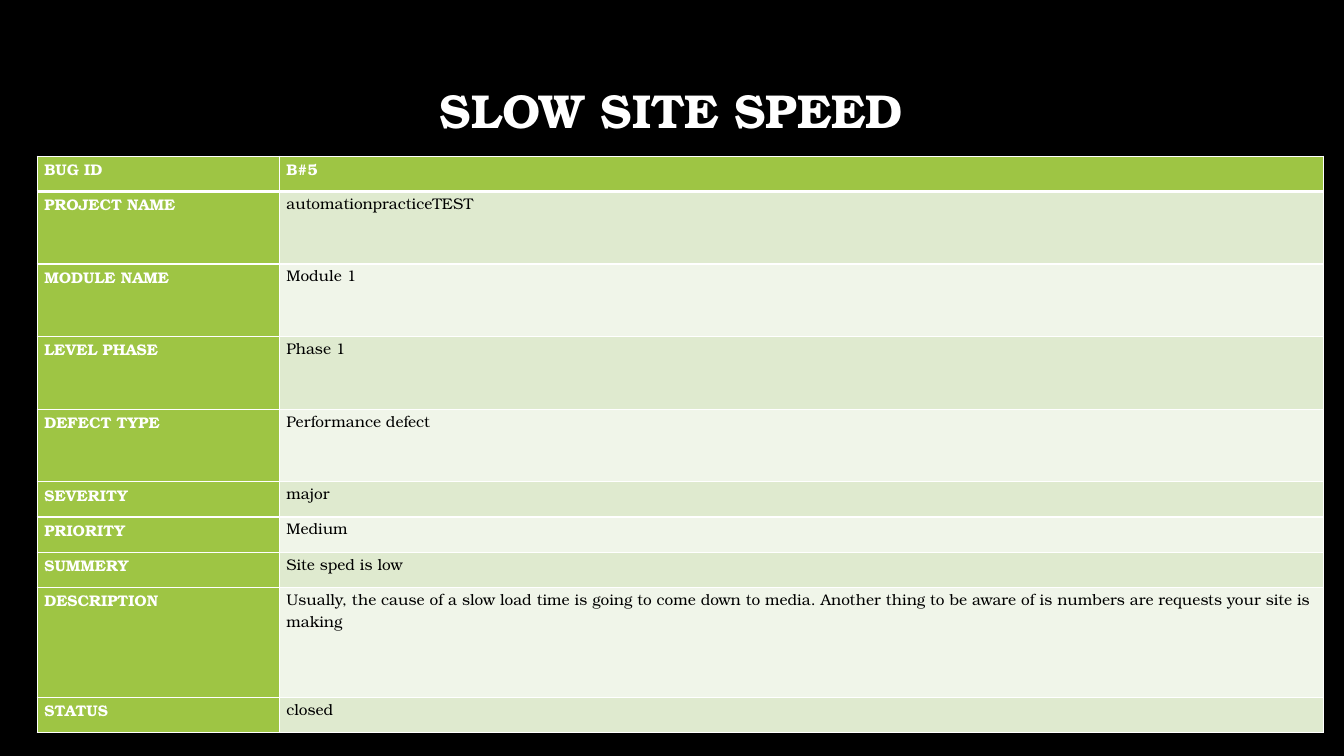
"""Build the bug report slide for slow site speed."""
from pptx import Presentation
from pptx.dml.color import RGBColor
from pptx.enum import text
from pptx.oxml import parse_xml
from pptx.oxml.ns import nsdecls
from pptx.util import Inches, Pt

BLACK = RGBColor(0x00, 0x00, 0x00)
WHITE = RGBColor(0xFF, 0xFF, 0xFF)
GREEN = RGBColor(0x9E, 0xC5, 0x44)
BANDS = [RGBColor(0xF0, 0xF5, 0xE9), RGBColor(0xDF, 0xEA, 0xCF)]
FONT = "TeX Gyre Bonum"

BUG_REPORT = [
    ("BUG ID", "B#5", 0.35),
    ("PROJECT NAME", "automationpracticeTEST", 0.72),
    ("MODULE NAME", "Module 1", 0.72),
    ("LEVEL PHASE", "Phase 1", 0.72),
    ("DEFECT TYPE", "Performance defect", 0.72),
    ("SEVERITY", "major", 0.35),
    ("PRIORITY", "Medium", 0.35),
    ("SUMMERY", "Site sped is low", 0.35),
    ("DESCRIPTION", "Usually, the cause of a slow load time is going to come down to media. "
     "Another thing to be aware of is numbers are requests your site is making", 1.09),
    ("STATUS", "closed", 0.35),
]


def write(frame, content, size, color, bold, spacing, align=text.PP_ALIGN.LEFT):
    paragraph = frame.paragraphs[0]
    paragraph.alignment = align
    paragraph.line_spacing = spacing
    run = paragraph.add_run()
    run.text = content
    run.font.name = FONT
    run.font.size = Pt(size)
    run.font.bold = bold
    run.font.color.rgb = color


def set_borders(cell, widths):
    properties = cell._tc.get_or_add_tcPr()
    for position, (side, width) in enumerate(widths.items()):
        properties.insert(position, parse_xml(
            f'<a:ln{side} {nsdecls("a")} w="{Pt(width)}"><a:solidFill>'
            f'<a:srgbClr val="{WHITE}"/></a:solidFill></a:ln{side}>'))


presentation = Presentation()
presentation.slide_width = Inches(13.33)
presentation.slide_height = Inches(7.5)
slide = presentation.slides.add_slide(presentation.slide_layouts[5])
slide.background.fill.solid()
slide.background.fill.fore_color.rgb = BLACK

title = slide.shapes.title
title.left, title.top = Inches(1), Inches(0.67)
title.width, title.height = Inches(11.32), Inches(1.45)
title.text_frame.vertical_anchor = text.MSO_ANCHOR.MIDDLE
title.text_frame.margin_bottom = Inches(0.6)
write(title.text_frame, "SLOW SITE SPEED", size=34, color=WHITE, bold=True,
      spacing=0.9, align=text.PP_ALIGN.CENTER)

table = slide.shapes.add_table(len(BUG_REPORT), 2, Inches(0.37), Inches(1.55),
                               Inches(12.76), Inches(5.7)).table
table.first_col = True
table.columns[0].width = Inches(2.4)
table.columns[1].width = Inches(10.36)

for row, (label, value, height) in enumerate(BUG_REPORT):
    table.rows[row].height = Inches(height)
    for column, content in enumerate((label, value)):
        heading = row == 0 or column == 0
        cell = table.cell(row, column)
        cell.margin_left = cell.margin_right = Inches(0.07)
        cell.margin_top = cell.margin_bottom = 0
        cell.fill.solid()
        cell.fill.fore_color.rgb = GREEN if heading else BANDS[row % 2]
        set_borders(cell, {"L": 1, "R": 1, "T": 3 if row == 1 else 1,
                           "B": 3 if row == 0 else 1})
        write(cell.text_frame, content, size=11, color=WHITE if heading else BLACK,
              bold=heading, spacing=1.07)

presentation.save("out.pptx")
